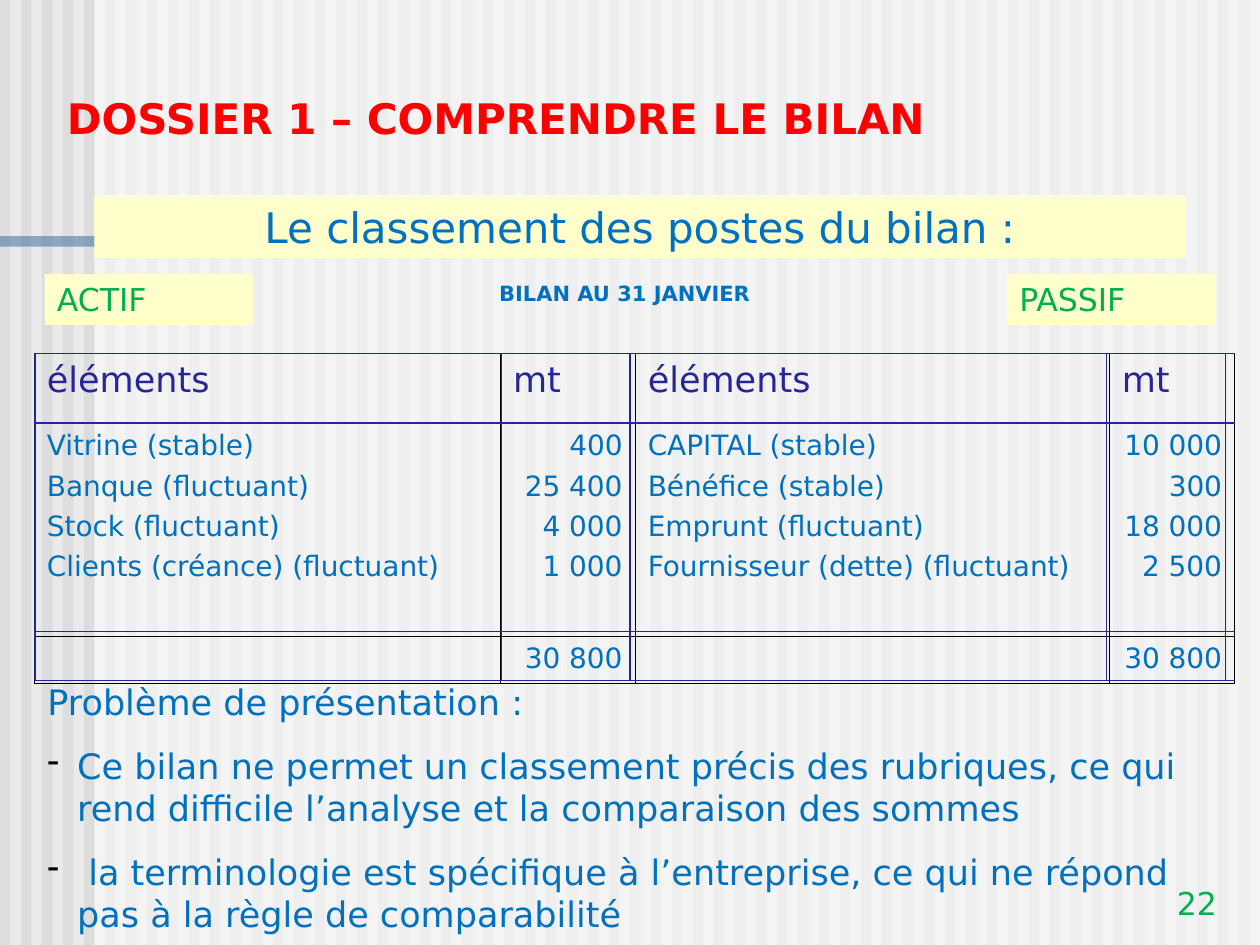
from dataclasses import dataclass

from lxml.etree import SubElement
from pptx import Presentation
from pptx.dml.color import RGBColor
from pptx.enum.shapes import MSO_CONNECTOR as Connector, MSO_SHAPE as Shape
from pptx.enum.text import MSO_ANCHOR as Anchor, PP_ALIGN as Align
from pptx.oxml import parse_xml
from pptx.oxml.ns import nsdecls, qn
from pptx.util import Pt

COLORS = {
    "background": "EAEAEA", "stripe": "DDDDDD", "veil": "FFFFFF", "band": "336699",
    "label": "FFFFCC", "title": "FF0000", "blue": "0070C0", "green": "00B050",
    "navy": "262699", "black": "000000",
}
FONT = "DejaVu Sans"
INSETS = {"margin_left": Pt(7.2), "margin_right": Pt(7.2),
          "margin_top": Pt(3.6), "margin_bottom": Pt(3.6)}


@dataclass
class Box:
    left: float
    top: float
    width: float
    height: float

    def lengths(self) -> tuple:
        return tuple(map(Pt, (self.left, self.top, self.width, self.height)))


@dataclass
class TextStyle:
    size: float
    color: str
    bold: bool = False
    align: Align = Align.LEFT
    space_before: float = 0
    line_spacing: object = None


@dataclass
class Label:
    box: Box
    lines: list
    style: TextStyle
    fill: str = ""
    anchor: Anchor = Anchor.TOP


def rgb(name: str) -> RGBColor:
    return RGBColor.from_string(COLORS[name])


def set_all(target, values: dict) -> None:
    for attribute, value in values.items():
        setattr(target, attribute, value)


def add_block(slide, box: Box, fill: str, opacity: int = 100):
    block = slide.shapes.add_shape(Shape.RECTANGLE, *box.lengths())
    block.shadow.inherit = False
    block.fill.solid()
    block.fill.fore_color.rgb = rgb(fill)
    block.line.fill.background()
    if opacity < 100:
        color = block.element.spPr.find(f".//{qn('a:srgbClr')}")
        SubElement(color, qn("a:alpha")).set("val", str(opacity * 1000))
    return block


def write_lines(frame, lines: list, style: TextStyle) -> None:
    """Fill a text frame; space before applies between paragraphs only."""
    for index, line in enumerate(lines):
        paragraph = frame.paragraphs[0] if index == 0 else frame.add_paragraph()
        set_all(paragraph, {
            "alignment": style.align, "line_spacing": style.line_spacing,
            "space_before": Pt(style.space_before if index else 0)})
        run = paragraph.add_run()
        run.text = line
        set_all(run.font, {"name": FONT, "size": Pt(style.size), "bold": style.bold})
        run.font.color.rgb = rgb(style.color)


def write_label(shape, label: Label) -> None:
    frame = shape.text_frame
    set_all(frame, {"word_wrap": True, "vertical_anchor": label.anchor, **INSETS})
    write_lines(frame, label.lines, label.style)


def add_label(slide, label: Label):
    shape = (add_block(slide, label.box, label.fill) if label.fill
             else slide.shapes.add_textbox(*label.box.lengths()))
    write_label(shape, label)
    return shape


def add_dash_bullet(paragraph, indent: float) -> None:
    properties = paragraph._p.get_or_add_pPr()
    properties.set("marL", str(Pt(indent)))
    properties.set("indent", str(-Pt(indent)))
    color = SubElement(properties, qn("a:buClr"))
    SubElement(color, qn("a:srgbClr")).set("val", COLORS["black"])
    SubElement(properties, qn("a:buChar")).set("char", "-")


def add_rule(slide, x1: float, y1: float, x2: float, y2: float) -> None:
    rule = slide.shapes.add_connector(Connector.STRAIGHT, *map(Pt, (x1, y1, x2, y2)))
    rule.line.color.rgb = rgb("navy")
    rule.line.width = Pt(0.75)
    SubElement(rule.element.spPr, qn("a:effectLst"))


def set_borders(cell, outer_sides: dict) -> None:
    """Draw hairlines, slightly heavier on the outer sides of the table."""
    properties = cell._tc.get_or_add_tcPr()
    for position, (side, is_outer) in enumerate(outer_sides.items()):
        width = Pt(0.23 if is_outer else 0.11)
        properties.insert(position, parse_xml(
            f'<a:ln{side} {nsdecls("a")} w="{width}"><a:solidFill>'
            f'<a:srgbClr val="{COLORS["black"]}"/></a:solidFill></a:ln{side}>'))


def add_balance_sheet(slide, box: Box, widths: list, heights: list, rows: list) -> None:
    table = slide.shapes.add_table(len(rows), len(widths), *box.lengths()).table
    set_all(table, {"first_row": False, "horz_banding": False})
    for column, width in zip(table.columns, widths):
        column.width = Pt(width)
    last_row, last_column = len(rows) - 1, len(widths) - 1
    for r, (height, entries) in enumerate(zip(heights, rows)):
        table.rows[r].height = Pt(height)
        for c, lines in enumerate(entries):
            cell = table.cell(r, c)
            set_all(cell, INSETS)
            cell.fill.background()
            set_borders(cell, {"L": c == 0, "R": c == last_column,
                               "T": r == 0, "B": r == last_row})
            is_amount = r > 0 and c % 2 == 1
            style = TextStyle(16 if r else 20, "blue" if r else "navy",
                              align=Align.RIGHT if is_amount else Align.LEFT,
                              space_before=4, line_spacing=1.03 if r == 1 else 1.01)
            write_lines(cell.text_frame, lines, style)


def main() -> None:
    deck = Presentation()
    set_all(deck, {"slide_width": Pt(720), "slide_height": Pt(540)})
    slide = deck.slides.add_slide(deck.slide_layouts[5])
    slide.background.fill.solid()
    slide.background.fill.fore_color.rgb = rgb("background")

    for step in range(60):
        add_block(slide, Box(12 * step, 0, 6, 540), "stripe")
    add_block(slide, Box(54, 0, 666, 540), "veil", 50)
    add_block(slide, Box(0, 135, 547, 6), "band", 50)

    heading = Label(Box(31, 49, 643, 36), ["DOSSIER 1 – COMPRENDRE LE BILAN"],
                    TextStyle(24, "title", bold=True), anchor=Anchor.BOTTOM)
    title = slide.shapes.title
    set_all(title, dict(zip(("left", "top", "width", "height"), heading.box.lengths())))
    write_label(title, heading)
    title.element.getparent().append(title.element)  # in front of the stripes

    add_balance_sheet(
        slide, Box(19.6, 202, 686, 188.6),
        widths=[266.4, 77, 270.9, 71.7], heights=[39.6, 121.7, 27.3],
        rows=[
            [["éléments"], ["mt"], ["éléments"], ["mt"]],
            [["Vitrine (stable)", "Banque (fluctuant)", "Stock (fluctuant)",
              "Clients (créance) (fluctuant)"],
             ["400", "25 400", "4 000", "1 000"],
             ["CAPITAL (stable)", "Bénéfice (stable)", "Emprunt (fluctuant)",
              "Fournisseur (dette) (fluctuant)"],
             ["10 000", "300", "18 000", "2 500"]],
            [[""], ["30 800"], [""], ["30 800"]],
        ])

    side = TextStyle(18, "green")
    labels = [
        Label(Box(575.5, 156.7, 119, 29), ["PASSIF"], side, "label"),
        Label(Box(25.5, 156.7, 119, 29), ["ACTIF"], side, "label"),
        Label(Box(178.5, 156.7, 357, 22), ["BILAN AU 31 JANVIER"],
              TextStyle(12, "blue", bold=True, align=Align.CENTER)),
        Label(Box(54, 111.5, 623.5, 36), ["Le classement des postes du bilan :"],
              TextStyle(24, "blue", align=Align.CENTER), "label"),
        Label(Box(553, 494.6, 149.5, 36), ["22"],
              TextStyle(18, "green", align=Align.RIGHT), anchor=Anchor.BOTTOM),
    ]
    for label in labels:
        add_label(slide, label)

    problems = add_label(slide, Label(
        Box(20, 385.2, 683.3, 154.8),
        ["Problème de présentation :",
         "Ce bilan ne permet un classement précis des rubriques, ce qui rend "
         "difficile l’analyse et la comparaison des sommes",
         " la terminologie est spécifique à l’entreprise, ce qui ne répond pas "
         "à la règle de comparabilité"],
        TextStyle(20, "blue", space_before=12.5, line_spacing=Pt(24))))
    for paragraph in problems.text_frame.paragraphs[1:]:
        add_dash_bullet(paragraph, 17)

    left, right, top, bottom = 20, 705.7, 202, 388.8
    for y in (top, 241.7, 360.9, bottom):
        add_rule(slide, left, y, right, y)
    for x in (left, 286.4, 360, 632.3, 700.2):
        add_rule(slide, x, top, x, bottom)

    deck.save("out.pptx")


if __name__ == "__main__":
    main()
